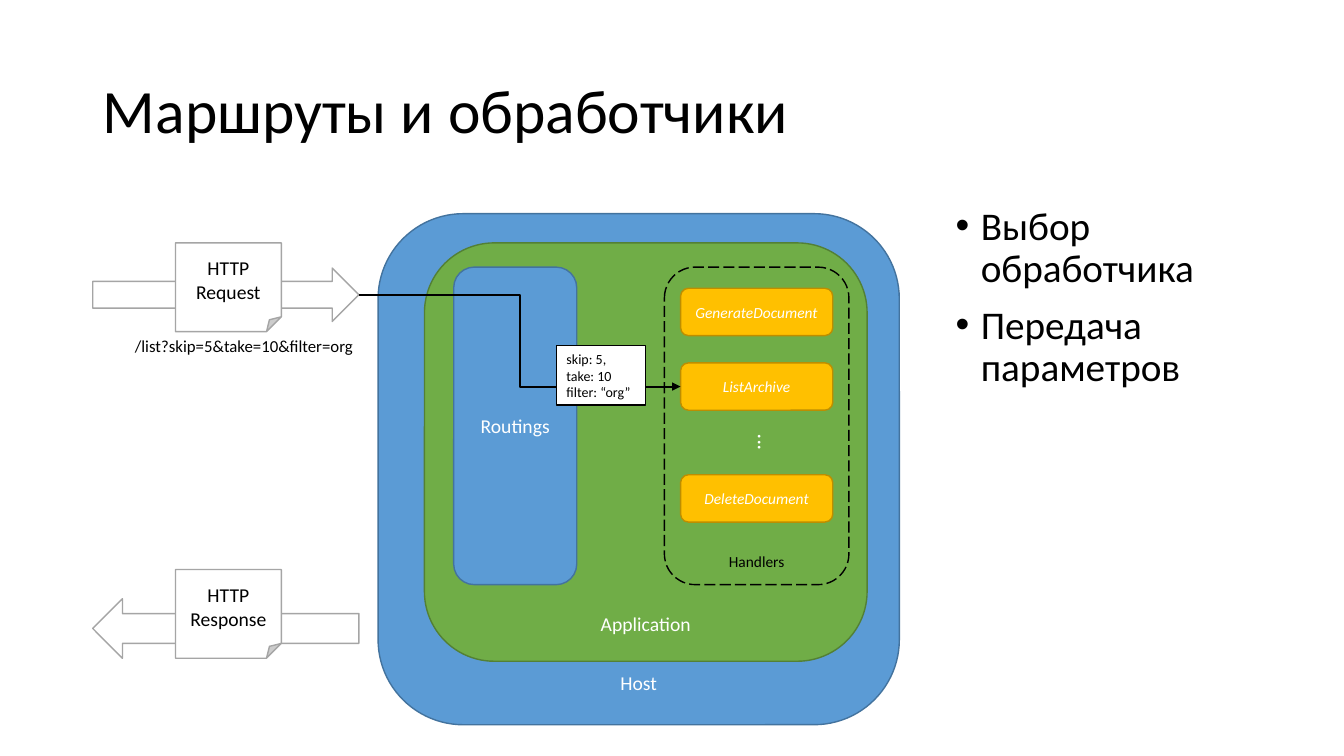
from lxml import etree
from pptx import Presentation
from pptx.dml.color import RGBColor
from pptx.enum.dml import MSO_LINE
from pptx.enum.shapes import MSO_CONNECTOR, MSO_SHAPE
from pptx.enum.text import MSO_ANCHOR, MSO_AUTO_SIZE, PP_ALIGN
from pptx.oxml.ns import qn
from pptx.util import Emu, Pt

ROUND, RECT, FOLDED = MSO_SHAPE.ROUNDED_RECTANGLE, MSO_SHAPE.RECTANGLE, MSO_SHAPE.FOLDED_CORNER
RIGHT_ARROW, LEFT_ARROW = MSO_SHAPE.RIGHT_ARROW, MSO_SHAPE.LEFT_ARROW
ELBOW, LONG_DASH = MSO_CONNECTOR.ELBOW, MSO_LINE.LONG_DASH
TOP, MIDDLE, BOTTOM = MSO_ANCHOR.TOP, MSO_ANCHOR.MIDDLE, MSO_ANCHOR.BOTTOM
LEFT, CENTER = PP_ALIGN.LEFT, PP_ALIGN.CENTER
NO_FIT, GROW = MSO_AUTO_SIZE.NONE, MSO_AUTO_SIZE.SHAPE_TO_FIT_TEXT
TITLE_ONLY = 5

FONT = "Calibri"
BLACK, WHITE, GRAY = "000000", "FFFFFF", "A5A5A5"
BLUE, BLUE_LINE = "5B9BD5", "43739E"
GREEN, GREEN_LINE = "70AD47", "538035"
GOLD, GOLD_LINE = "FFC000", "BD8E00"


def px(n):
    """Turn px, a hundred to the inch, into EMU."""
    return Emu(n * 9144)


def rgb(hex_text):
    """Turn a hex string into a colour."""
    return RGBColor.from_string(hex_text)


class Deck:
    """Holds the presentation, its style and the current slide."""

    def __init__(self, width, height):
        """Start an empty deck of the given size."""
        self.prs = Presentation()
        self.prs.slide_width, self.prs.slide_height = px(width), px(height)
        self.s = None

    def set_text(self, sp, text, size, color, align=LEFT, anchor=TOP, italic=None):
        """Put styled text in a shape."""
        tf = sp.text_frame
        tf.text = text
        tf.word_wrap = True
        tf.vertical_anchor = anchor
        for p in tf.paragraphs:
            p.alignment = align
            for r in p.runs:
                r.font.name, r.font.size, r.font.italic = FONT, Pt(size), italic
                r.font.color.rgb = rgb(color)
        return tf

    def title(self, text, box):
        """Add a slide and fill its title."""
        self.s = self.prs.slides.add_slide(self.prs.slide_layouts[TITLE_ONLY])
        sp = self.s.shapes.title
        sp.left, sp.top, sp.width, sp.height = map(px, box)
        tf = self.set_text(sp, text, 44, BLACK, anchor=MIDDLE)
        tf.auto_size = NO_FIT
        tf.paragraphs[0].line_spacing = 0.9

    def label(self, text, box, size, color=BLACK):
        """Add a text box."""
        sp = self.s.shapes.add_textbox(*map(px, box))
        self.set_text(sp, text, size, color)
        return sp

    def bullets(self, items, box, size):
        """Add a bulleted list."""
        sp = self.label("\n".join(items), box, size)
        for i, p in enumerate(sp.text_frame.paragraphs):
            p.line_spacing = 0.9
            p.space_before = Pt(10 if i else 0)
            pPr = p._p.get_or_add_pPr()
            pPr.set("marL", str(px(25)))
            pPr.set("indent", str(-px(25)))
            etree.SubElement(pPr, qn("a:buFont")).set("typeface", "Arial")
            etree.SubElement(pPr, qn("a:buChar")).set("char", "•")

    def shape(self, kind, box, fill, line, text="", size=14, color=WHITE,
              align=CENTER, anchor=MIDDLE, italic=None, parent=None):
        """Add a preset shape, with no fill when fill is None."""
        sp = (parent or self.s).shapes.add_shape(kind, *map(px, box))
        sp.shadow.inherit = False
        if fill:
            sp.fill.solid()
            sp.fill.fore_color.rgb = rgb(fill)
        else:
            sp.fill.background()
        sp.line.color.rgb = rgb(line)
        sp.line.width = Pt(1)
        if text:
            self.set_text(sp, text, size, color, align, anchor, italic)
        return sp

    def message(self, arrow, text, arrow_box, page_top):
        """Group an arrow with the page it carries and return the arrow."""
        group = self.s.shapes.add_group_shape()
        sp = self.shape(arrow, arrow_box, WHITE, GRAY, parent=group)
        self.shape(FOLDED, (174, page_top, 105, 88), WHITE, GRAY, text,
                   color=BLACK, parent=group)
        return sp

    def route(self, source, target):
        """Join two shapes, right side to left side, with an elbow arrow."""
        c = self.s.shapes.add_connector(ELBOW, 0, 0, 0, 0)
        c.begin_connect(source, 3)
        c.end_connect(target, 1)
        c.line.color.rgb = rgb(BLACK)
        c.line.width = Pt(1.5)
        ln = c.element.spPr.find(qn("a:ln"))
        etree.SubElement(ln, qn("a:tailEnd")).set("type", "triangle")
        etree.SubElement(c.element.spPr, qn("a:effectLst"))


def main():
    """Build the slide and save it."""
    deck = Deck(1333, 750)
    deck.title("Маршруты и обработчики", (92, 40, 1150, 145))
    deck.bullets(["Выбор обработчика", "Передача параметров"], (938, 200, 304, 476), 28)

    request = deck.message(RIGHT_ARROW, "HTTP Request", (92, 266, 264, 53), 241)
    deck.message(LEFT_ARROW, "HTTP Response", (92, 594, 264, 59), 565)

    deck.shape(ROUND, (375, 212, 517, 507), BLUE, BLUE_LINE, "Host", anchor=BOTTOM)
    deck.shape(ROUND, (421, 241, 439, 415), GREEN, GREEN_LINE, "Application", anchor=BOTTOM)

    handlers = {}
    for name, top in (("GenerateDocument", 286), ("ListArchive", 360), ("DeleteDocument", 471)):
        handlers[name] = deck.shape(ROUND, (675, top, 151, 47), GOLD, GOLD_LINE, name,
                                    size=11, italic=True)

    dots = deck.label("...", (727, 430, 47, 27), 16, WHITE)
    dots.text_frame.word_wrap = False
    dots.text_frame.auto_size = GROW
    dots.element.txBody.bodyPr.set("vert", "vert270")
    query = deck.label("/list?skip=5&take=10&filter=org", (124, 328, 244, 30), 12)
    query.text_frame.auto_size = GROW

    frame = deck.shape(ROUND, (659, 265, 183, 315), None, BLACK, "Handlers",
                       size=11, color=BLACK, anchor=BOTTOM)
    frame.line.dash_style = LONG_DASH
    deck.shape(ROUND, (450, 265, 122, 315), BLUE, BLUE_LINE, "Routings")

    deck.route(request, handlers["ListArchive"])
    deck.shape(RECT, (552, 343, 88, 59), WHITE, BLACK, "skip: 5,\ntake: 10\nfilter: “org”",
               size=10, color=BLACK, align=LEFT)
    deck.prs.save("out.pptx")


if __name__ == "__main__":
    main()
